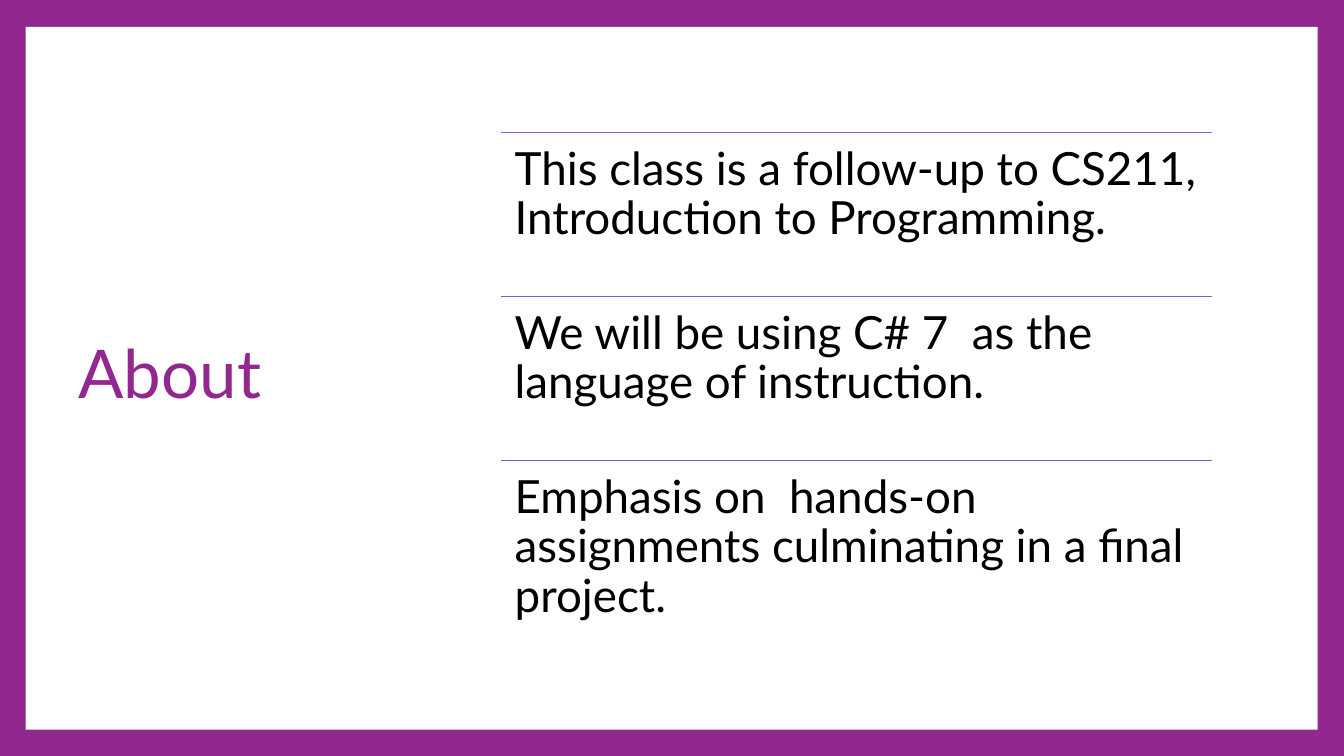
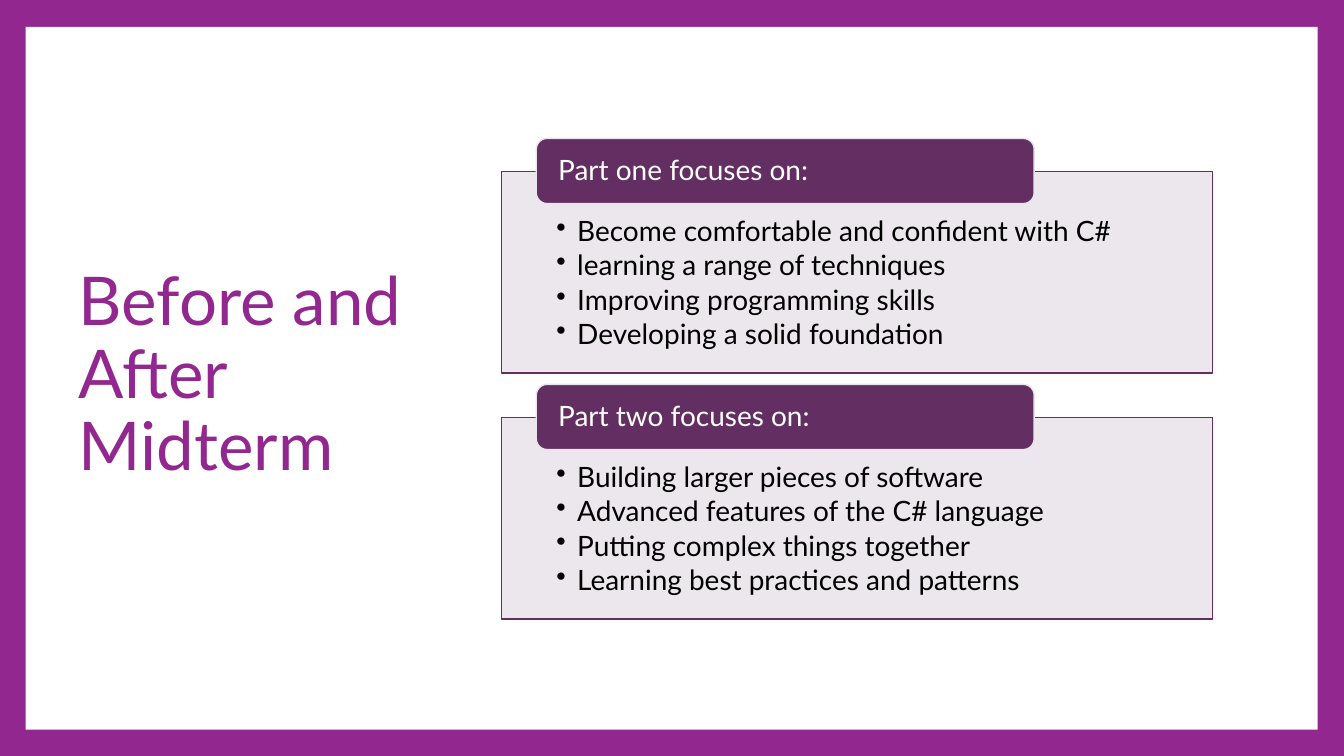
from lxml import etree
from pptx import Presentation
from pptx.dml.color import RGBColor
from pptx.enum.shapes import MSO_CONNECTOR, MSO_SHAPE
from pptx.enum.text import MSO_ANCHOR, PP_ALIGN
from pptx.oxml.ns import qn
from pptx.util import Inches, Pt

PURPLE = RGBColor(0x92, 0x27, 0x8F)
PLUM = RGBColor(0x63, 0x2E, 0x62)
PALE_PLUM = RGBColor(0xEA, 0xE5, 0xEB)
WHITE = RGBColor(0xFF, 0xFF, 0xFF)
BLACK = RGBColor(0, 0, 0)
RULE_COLORS = [
    RGBColor(0x9B, 0x57, 0xD3),
    RGBColor(0x88, 0x5A, 0xD6),
    RGBColor(0x75, 0x5D, 0xD9),
]
FONT = "Lato"
RECTANGLE, ROUNDED = MSO_SHAPE.RECTANGLE, MSO_SHAPE.ROUNDED_RECTANGLE
STRAIGHT = MSO_CONNECTOR.STRAIGHT
TOP, MIDDLE = MSO_ANCHOR.TOP, MSO_ANCHOR.MIDDLE
LEFT = PP_ALIGN.LEFT

CONTENT_LEFT, CONTENT_WIDTH = 7.46, 10.58
LINE_WIDTH = Pt(1.5)

ABOUT_POINTS = [
    "This class is a follow-up to CS211, Introduction to Programming.",
    "We will be using C# 7  as the language of instruction.",
    "Emphasis on  hands-on assignments culminating in a final project.",
]
COURSE_PARTS = [
    ("Part one focuses on:", [
        "Become comfortable and confident with C#",
        "learning a range of techniques",
        "Improving programming skills",
        "Developing a solid foundation",
    ]),
    ("Part two focuses on:", [
        "Building larger pieces of software",
        "Advanced features of the C# language",
        "Putting complex things together",
        "Learning best practices and patterns",
    ]),
]


def write(shape, lines, size, color, insets, anchor=TOP):
    """Fill a shape with left-aligned paragraphs; insets run left, top, right, bottom."""
    frame = shape.text_frame
    frame.word_wrap = True
    frame.vertical_anchor = anchor
    (frame.margin_left, frame.margin_top,
     frame.margin_right, frame.margin_bottom) = map(Inches, insets)
    frame.text = "\n".join(lines)
    for paragraph in frame.paragraphs:
        paragraph.alignment = LEFT
        paragraph.line_spacing = 0.9
        paragraph.font.name = FONT
        paragraph.font.size = Pt(size)
        paragraph.font.color.rgb = color


def add_box(slide, kind, left, top, width, height, fill, line=None):
    """Add a filled shape without shadow, outlined when a line colour is given."""
    box = slide.shapes.add_shape(
        kind, Inches(left), Inches(top), Inches(width), Inches(height))
    box.shadow.inherit = False
    box.fill.solid()
    box.fill.fore_color.rgb = fill
    if line is None:
        box.line.fill.background()
    else:
        box.line.color.rgb = line
        box.line.width = LINE_WIDTH
    return box


prs = Presentation()
prs.slide_width, prs.slide_height = Inches(20), Inches(11.25)

# Shared purple frame and title
slides = []
for heading in ("About", "Before and After Midterm"):
    slide = prs.slides.add_slide(prs.slide_layouts[6])
    slide.background.fill.solid()
    slide.background.fill.fore_color.rgb = PURPLE
    add_box(slide, RECTANGLE, 0.38, 0.4, 19.23, 10.46, WHITE)
    title = slide.shapes.add_textbox(
        Inches(1.07), Inches(1), Inches(5.52), Inches(9.2))
    write(title, [heading], 72, PURPLE, (0.1, 0.05, 0.1, 0.05), MIDDLE)
    slides.append(slide)
about, midterm = slides

# About: three points, each under a thin rule
POINT_HEIGHT = 2.44
for index, (point, color) in enumerate(zip(ABOUT_POINTS, RULE_COLORS)):
    top = Inches(1.97 + index * POINT_HEIGHT)
    rule = about.shapes.add_connector(
        STRAIGHT, Inches(CONTENT_LEFT), top,
        Inches(CONTENT_LEFT + CONTENT_WIDTH), top)
    rule.line.color.rgb = color
    rule.line.width = LINE_WIDTH
    etree.SubElement(rule._element.spPr, qn("a:effectLst"))
    point_text = about.shapes.add_textbox(
        Inches(CONTENT_LEFT), top, Inches(CONTENT_WIDTH), Inches(POINT_HEIGHT))
    write(point_text, [point], 49, BLACK, (0.2, 0.2, 0.2, 0.2))

# Before and After Midterm: two panels with overlapping header tabs
for index, (header, topics) in enumerate(COURSE_PARTS):
    top = 2.55 + index * 3.66
    panel = add_box(midterm, RECTANGLE, CONTENT_LEFT, top, CONTENT_WIDTH, 3,
                    PALE_PLUM, PLUM)
    panel_color = panel._element.spPr.find(qn("a:solidFill"))[0]
    etree.SubElement(panel_color, qn("a:alpha"), val="90000")
    write(panel, topics, 30, BLACK, (0.82, 0.68, 0.82, 0.23))
    for paragraph in panel.text_frame.paragraphs:
        paragraph.space_after = Pt(4.5)
        properties = paragraph._p.get_or_add_pPr()
        properties.set("marL", str(Inches(0.31)))
        properties.set("indent", str(Inches(-0.31)))
        bullet = etree.Element(qn("a:buChar"), char="•")
        properties.find(qn("a:defRPr")).addprevious(bullet)

    tab = add_box(midterm, ROUNDED, 7.98, top - 0.49, 7.41, 0.97,
                  PLUM, PALE_PLUM)
    write(tab, [header], 30, WHITE, (0.28, 0, 0.28, 0), MIDDLE)

prs.save("out.pptx")
